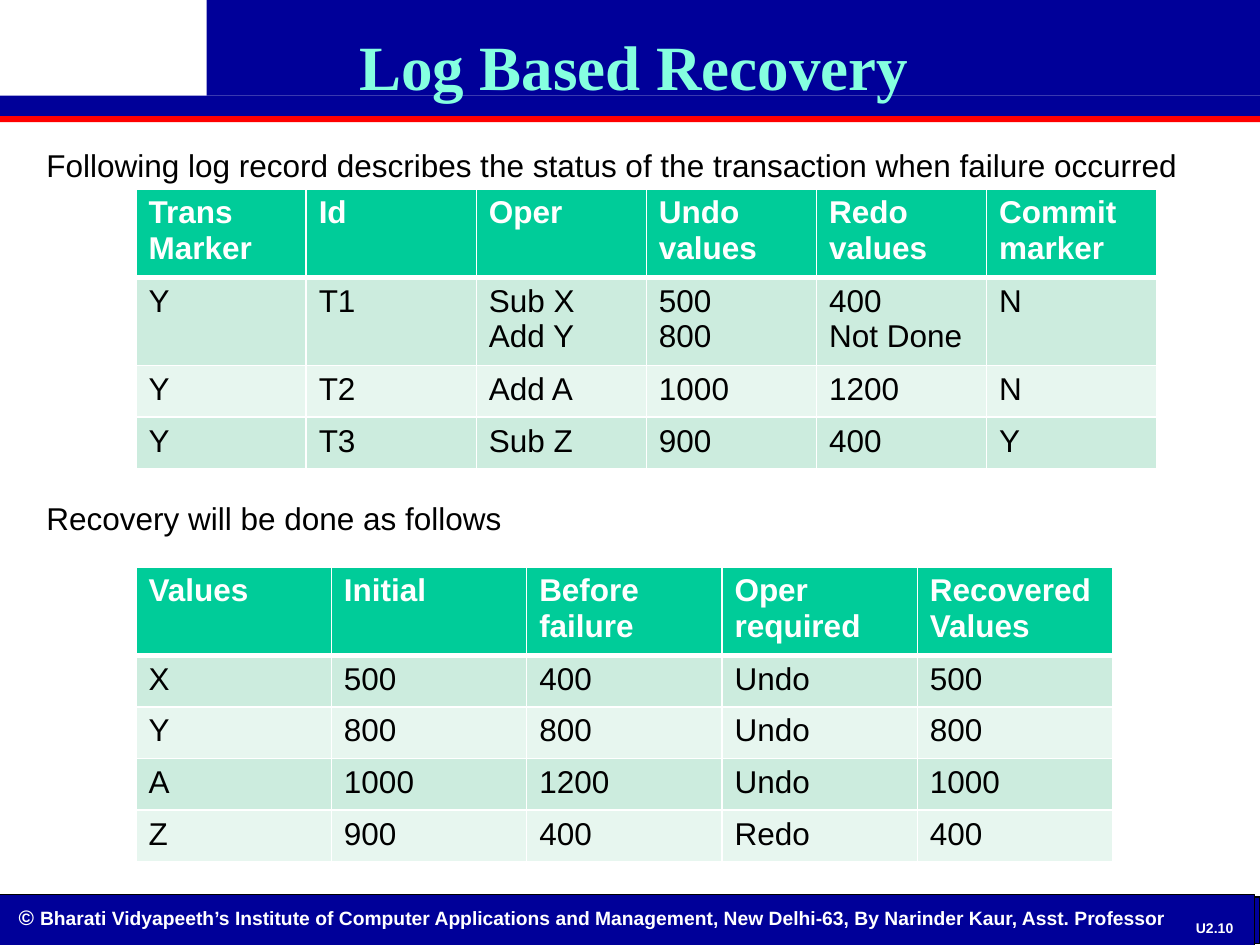
from lxml.etree import SubElement
from pptx import Presentation
from pptx.dml.color import RGBColor
from pptx.enum.shapes import MSO_SHAPE as Shape
from pptx.enum.text import MSO_ANCHOR as Anchor, MSO_AUTO_SIZE as AutoSize, PP_ALIGN as Align
from pptx.oxml.ns import qn
from pptx.util import Inches, Pt

NAVY = RGBColor(0x00, 0x00, 0x99)
RED = RGBColor(0xFF, 0x00, 0x00)
BLACK = RGBColor(0x00, 0x00, 0x00)
WHITE = RGBColor(0xFF, 0xFF, 0xFF)
AQUA = RGBColor(0x85, 0xFF, 0xE0)
GREEN = RGBColor(0x00, 0xCC, 0x99)
STRIPES = (RGBColor(0xCC, 0xEC, 0xDE), RGBColor(0xE7, 0xF6, 0xEF))

# Content
TITLE = "Log Based Recovery"
COPYRIGHT = [("© ", 12), ("Bharati Vidyapeeth’s Institute of Computer Applications and Management, "
                          "New Delhi-63, By Narinder Kaur, Asst. Professor", 11)]
PAGE = [("U2.10", 8)]
CAPTIONS = [
    ("Following log record describes the status of the transaction when failure occurred", 1.11),
    ("Recovery will be done as follows", 3.91),
]
LOG_ROWS = [
    ["Trans Marker", "Id", "Oper", "Undo values", "Redo values", "Commit marker"],
    ["Y", "T1", "Sub X\nAdd Y", "500\n800", "400\nNot Done", "N"],
    ["Y", "T2", "Add A", "1000", "1200", "N"],
    ["Y", "T3", "Sub Z", "900", "400", "Y"],
]
RECOVERY_ROWS = [
    ["Values", "Initial", "Before failure", "Oper required", "Recovered Values"],
    ["X", "500", "400", "Undo", "500"],
    ["Y", "800", "800", "Undo", "800"],
    ["A", "1000", "1200", "Undo", "1000"],
    ["Z", "900", "400", "Redo", "400"],
]
# rows, top, column width, row heights
TABLES = [
    (LOG_ROWS, 1.5, 1.35, [0.66, 0.65, 0.41, 0.41]),
    (RECOVERY_ROWS, 4.5, 1.55, [0.69] + [0.41] * 4),
]
TABLE_LEFT = 1.08
# left, top, width, height, fill, outlined
BANDS = [
    (0, 7.12, 10, 0.37, NAVY, True),
    (0, 0.92, 10, 0.05, RED, False),
    (1.64, 0, 8.36, 0.76, NAVY, False),
    (0, 0.76, 10, 0.16, NAVY, False),
    (-0.04, 7.1, 10, 0.43, NAVY, True),
]


def style_font(font, size, color, bold=False, name="Arial"):
    for key, value in {"name": name, "size": Pt(size), "bold": bold}.items():
        setattr(font, key, value)
    font.color.rgb = color


def add_band(slide, left, top, width, height, fill, outlined):
    band = slide.shapes.add_shape(Shape.RECTANGLE, *map(Inches, (left, top, width, height)))
    band.shadow.inherit = False
    band.fill.solid()
    band.fill.fore_color.rgb = fill
    if outlined:
        band.line.color.rgb = BLACK
        band.line.width = Pt(0.75)
    else:
        band.line.fill.background()


def add_text(slide, box, runs, color, bold=False, align=Align.LEFT, anchor=Anchor.TOP):
    frame = slide.shapes.add_textbox(*map(Inches, box)).text_frame
    frame.word_wrap = True
    frame.vertical_anchor = anchor
    paragraph = frame.paragraphs[0]
    paragraph.alignment = align
    for text, size in runs:
        run = paragraph.add_run()
        run.text = text
        style_font(run.font, size, color, bold)


def set_borders(cell, top, bottom):
    properties = cell._tc.get_or_add_tcPr()
    for side, width in {"L": 1, "R": 1, "T": top, "B": bottom}.items():
        line = SubElement(properties, qn(f"a:ln{side}"), w=str(Pt(width)))
        fill = SubElement(line, qn("a:solidFill"))
        SubElement(fill, qn("a:srgbClr"), val=str(WHITE))


def add_table(slide, rows, top, column_width, heights):
    count = len(rows[0])
    table = slide.shapes.add_table(len(rows), count, Inches(TABLE_LEFT), Inches(top),
                                   Inches(column_width * count), Inches(sum(heights))).table
    for column in table.columns:
        column.width = Inches(column_width)
    for r, (row, height) in enumerate(zip(rows, heights)):
        header = r == 0
        table.rows[r].height = Inches(height)
        for c, text in enumerate(row):
            cell = table.cell(r, c)
            set_borders(cell, top=3 if r == 1 else 1, bottom=3 if header else 1)
            cell.fill.solid()
            cell.fill.fore_color.rgb = GREEN if header else STRIPES[(r - 1) % 2]
            cell.text = text
            for paragraph in cell.text_frame.paragraphs:
                style_font(paragraph.runs[0].font, 18, WHITE if header else BLACK, header)


def main():
    presentation = Presentation()
    presentation.slide_width, presentation.slide_height = Inches(10), Inches(7.5)
    slide = presentation.slides.add_slide(presentation.slide_layouts[5])

    # Header and footer bands
    for band in BANDS:
        add_band(slide, *band)

    # Title, brought in front of the header band
    title = slide.shapes.title
    slide.shapes._spTree.append(title._element)
    title.left, title.top, title.width, title.height = map(Inches, (2.75, 0.17, 4.61, 0.71))
    frame = title.text_frame
    frame.text = TITLE
    frame.word_wrap = False
    frame.auto_size = AutoSize.NONE
    frame.vertical_anchor = Anchor.TOP
    frame.paragraphs[0].alignment = Align.LEFT
    style_font(frame.paragraphs[0].runs[0].font, 36, AQUA, True, "Times New Roman")

    # Footer text
    add_text(slide, (0.05, 7.13, 9.48, 0.31), COPYRIGHT, WHITE, True)
    add_text(slide, (9.38, 7.27, 0.52, 0.19), PAGE, WHITE, True, Align.CENTER, Anchor.MIDDLE)

    # Captions and their tables
    for text, top in CAPTIONS:
        add_text(slide, (0.27, top, 9.52, 0.4), [(text, 18)], BLACK)
    for table in TABLES:
        add_table(slide, *table)

    presentation.save("out.pptx")


if __name__ == "__main__":
    main()
